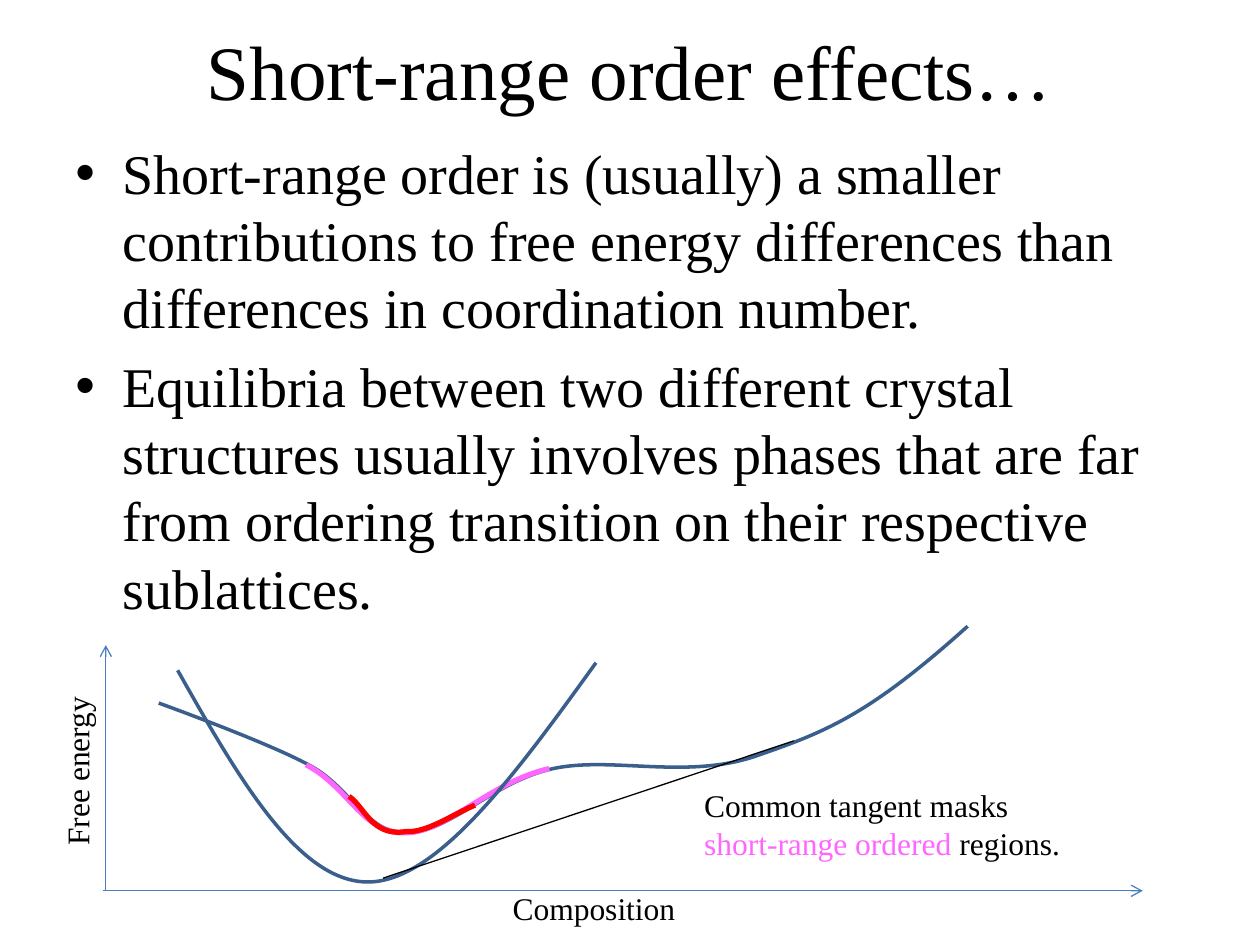
from lxml.etree import SubElement
from pptx import Presentation
from pptx.dml.color import RGBColor
from pptx.enum.shapes import MSO_CONNECTOR
from pptx.enum.text import MSO_ANCHOR, MSO_AUTO_SIZE, PP_ALIGN
from pptx.oxml.ns import qn
from pptx.util import Inches, Pt

FONT = "Times New Roman"
COLORS = {"text": "000000", "curve": "3A5F8C", "axis": "4B7EBC",
          "short": "FF66FF", "order": "FF0000"}

TITLE = "Short-range order effects…"
BULLETS = [
    "Short-range order is (usually) a smaller contributions to free energy "
    "differences than differences in coordination number.",
    "Equilibria between two different crystal structures usually involves "
    "phases that are far from ordering transition on their respective sublattices.",
]
NOTE = [("Common tangent masks ", "text"), ("short-range ordered", "short"),
        (" regions.", "text")]

# Each curve: color, width, then a start point and three points per Bezier span
CURVES = [
    ("curve", 2, [(7.68, 4.97), (6.89, 5.68), (6.55, 5.81), (6, 6),
                  (5.45, 6.19), (4.85, 6), (4.39, 6.1),
                  (3.92, 6.2), (3.55, 6.62), (3.22, 6.61),
                  (2.9, 6.61), (2.78, 6.24), (2.45, 6.07),
                  (2.12, 5.89), (1.26, 5.58), (1.26, 5.58)]),
    ("short", 3, [(4.36, 6.1), (3.9, 6.2), (3.53, 6.62), (3.2, 6.61),
                  (2.88, 6.61), (2.76, 6.24), (2.43, 6.07)]),
    ("order", 3, [(3.77, 6.39), (3.58, 6.47), (3.39, 6.61), (3.22, 6.6),
                  (2.95, 6.64), (2.9, 6.41), (2.77, 6.32)]),
    ("curve", 2, [(4.73, 5.26), (4.11, 6.12), (3.48, 6.99), (2.93, 7),
                  (2.37, 7.01), (1.89, 6.17), (1.41, 5.32)]),
]
# Start, end, color, arrow at the end
TANGENT = ((3.04, 6.97), (6.3, 5.88), "text", False)
AXES = [((0.84, 7.07), (0.84, 5.12), "axis", True),
        ((0.82, 7.07), (9.07, 7.07), "axis", True)]
# Text, box, rotation
LABELS = [("Free energy", (-0.1, 5.9, 1.42, 0.4), 270),
          ("Composition", (3.97, 7.01, 1.5, 0.4), 0)]


def rgb(name):
    return RGBColor.from_string(COLORS[name])


def style(para, size):
    para.font.name = FONT
    para.font.size = Pt(size)
    para.font.color.rgb = rgb("text")


def add_box(slide, box, wrap=True, grow=False):
    shape = slide.shapes.add_textbox(*map(Inches, box))
    frame = shape.text_frame
    frame.word_wrap = wrap
    if grow:
        frame.auto_size = MSO_AUTO_SIZE.SHAPE_TO_FIT_TEXT
    return shape, frame


def add_bullet(para):
    props = para._p.get_or_add_pPr()
    props.set("marL", str(Inches(0.375)))
    props.set("indent", str(Inches(-0.375)))
    SubElement(props, qn("a:buFont"), typeface="Arial")
    SubElement(props, qn("a:buChar"), char="•")


def bend(shape):
    """Turn each three straight segments of a freeform into one Bezier span."""
    segs = list(shape._element.iter(qn("a:lnTo")))
    for i in range(0, len(segs), 3):
        span = SubElement(segs[i].getparent(), qn("a:cubicBezTo"))
        for seg in segs[i:i + 3]:
            span.append(seg[0])
            seg.getparent().remove(seg)


def add_curve(slide, color, width, points):
    first, *rest = [(Inches(x), Inches(y)) for x, y in points]
    pen = slide.shapes.build_freeform(*first)
    pen.add_line_segments(rest, close=False)
    shape = pen.convert_to_shape()
    bend(shape)
    shape.shadow.inherit = False
    shape.fill.background()
    shape.line.color.rgb = rgb(color)
    shape.line.width = Pt(width)


def add_line(slide, start, end, color, arrow):
    line = slide.shapes.add_connector(MSO_CONNECTOR.STRAIGHT,
                                      *map(Inches, start + end))
    line.line.color.rgb = rgb(color)
    line.line.width = Pt(0.75)
    props = line._element.spPr
    if arrow:
        SubElement(props.find(qn("a:ln")), qn("a:tailEnd"), type="arrow")
    SubElement(props, qn("a:effectLst"))


def main():
    deck = Presentation()
    deck.slide_width, deck.slide_height = Inches(10), Inches(7.5)
    slide = deck.slides.add_slide(deck.slide_layouts[6])

    _, frame = add_box(slide, (0.5, -0.07, 9, 1.25))
    frame.vertical_anchor = MSO_ANCHOR.MIDDLE
    para = frame.paragraphs[0]
    para.text = TITLE
    para.alignment = PP_ALIGN.CENTER
    style(para, 44)

    _, frame = add_box(slide, (0.5, 1.05, 9, 4.95))
    frame.text = "\n".join(BULLETS)
    for para in frame.paragraphs:
        para.space_before = Pt(6.4)
        add_bullet(para)
        style(para, 32)

    for curve in CURVES:
        add_curve(slide, *curve)
    add_line(slide, *TANGENT)

    _, frame = add_box(slide, (5.49, 6.19, 3.07, 0.71), grow=True)
    para = frame.paragraphs[0]
    style(para, 18)
    for text, color in NOTE:
        run = para.add_run()
        run.text = text
        run.font.color.rgb = rgb(color)

    for axis in AXES:
        add_line(slide, *axis)
    for text, box, turn in LABELS:
        shape, frame = add_box(slide, box, wrap=False, grow=True)
        shape.rotation = turn
        frame.text = text
        style(frame.paragraphs[0], 18)

    deck.save("out.pptx")


if __name__ == "__main__":
    main()
